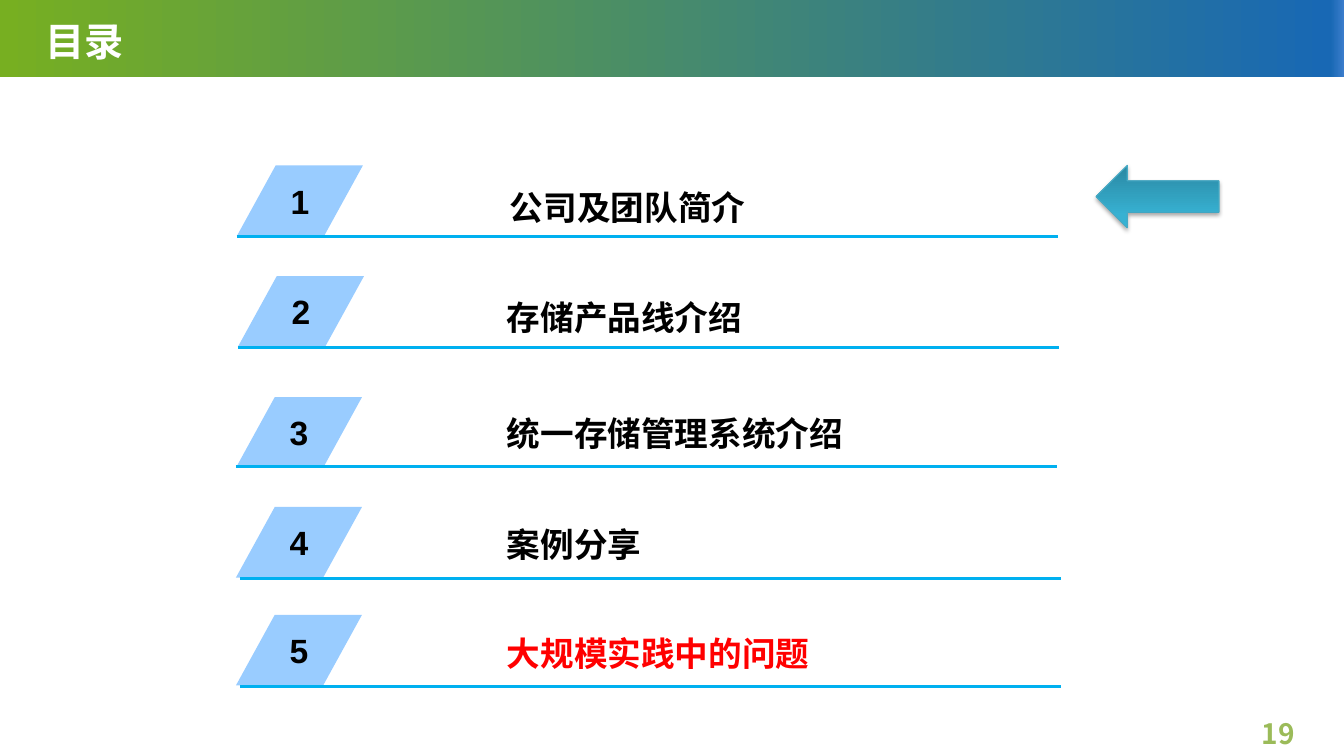
from dataclasses import dataclass

import lxml.etree
import pptx
import pptx.dml.color
import pptx.enum.shapes
import pptx.enum.text
import pptx.oxml.ns
import pptx.util

Inches = pptx.util.Inches
Pt = pptx.util.Pt
Shape = pptx.enum.shapes.MSO_SHAPE
Anchor = pptx.enum.text.MSO_ANCHOR
Align = pptx.enum.text.PP_ALIGN
qn = pptx.oxml.ns.qn


@dataclass(frozen=True)
class Theme:
    latin: str = "Arial"
    asian: str = "Noto Sans CJK SC"
    white: str = "FFFFFF"
    black: str = "000000"
    red: str = "FF0000"
    green: str = "9BBB59"
    tab: str = "99CCFF"
    rule: str = "00B0F0"
    edge: str = "46AAC5"
    band: tuple = ((0, "77AF21"), (99, "1868B4"), (100, "3A7CCB"))
    arrow: tuple = ((0, "2A88A2"), (80, "37B1D2"), (100, "34B4D6"))
    title: int = 28
    item: int = 24
    page: int = 20


THEME = Theme()

ITEMS = (
    ("公司及团队简介", THEME.black, (2.35, 1.64), (2.61, 0.16), (0, 0.71)),
    ("存储产品线介绍", THEME.black, (2.36, 2.74), (2.57, 0.16), (0, 0.71)),
    ("统一存储管理系统介绍", THEME.black, (2.34, 3.94), (2.59, 0.11), (0, 0.69)),
    ("案例分享", THEME.black, (2.34, 5.03), (2.59, 0.12), (0.04, 0.71)),
    ("大规模实践中的问题", THEME.red, (2.34, 6.1), (2.59, 0.13), (0.04, 0.71)),
)


def color(code):
    return pptx.dml.color.RGBColor.from_string(code)


def place(shape, box):
    names = ("left", "top", "width", "height")
    for name, size in zip(names, box):
        setattr(shape, name, Inches(size))


def write(shape, text, size, tint, align=Align.LEFT, anchor=Anchor.TOP,
          wrap=True, latin=THEME.latin):
    frame = shape.text_frame
    frame.text = text
    style = {
        "word_wrap": wrap,
        "auto_size": pptx.enum.text.MSO_AUTO_SIZE.NONE,
        "vertical_anchor": anchor,
    }
    for name, value in style.items():
        setattr(frame, name, value)
    line = frame.paragraphs[0]
    line.alignment = align
    run = line.runs[0]
    for name, value in {"size": Pt(size), "bold": True, "name": latin}.items():
        setattr(run.font, name, value)
    run.font.color.rgb = color(tint)
    asian = lxml.etree.Element(qn("a:ea"), typeface=THEME.asian)
    run.font._element.find(qn("a:latin")).addnext(asian)


def label(slide, box, text, size, tint, **style):
    shape = slide.shapes.add_textbox(*map(Inches, box))
    write(shape, text, size, tint, **style)


def block(slide, kind, box):
    shape = slide.shapes.add_shape(kind, *map(Inches, box))
    shape.shadow.inherit = False
    shape.line.fill.background()
    return shape


def blend(shape, stops, angle):
    shape.fill.gradient()
    grad = shape._element.spPr.find(qn("a:gradFill"))
    for child in list(grad):
        grad.remove(child)
    group = lxml.etree.SubElement(grad, qn("a:gsLst"))
    for share, code in stops:
        stop = lxml.etree.SubElement(group, qn("a:gs"), pos=str(share * 1000))
        lxml.etree.SubElement(stop, qn("a:srgbClr"), val=code)
    lxml.etree.SubElement(grad, qn("a:lin"), ang=str(angle * 60000), scaled="0")


def header(slide, box):
    left, top, width, height = box
    band = block(slide, Shape.RECTANGLE, box)
    blend(band, THEME.band, 0)
    title = slide.shapes.title
    band._element.addnext(title._element)
    place(title, (left + 0.35, top + 0.12, width - 1.52, height - 0.05))
    write(title, "目录", THEME.title, THEME.white)


def entry(slide, box, number, text, tint, shift, start):
    left, top, width, height = box
    tab = block(slide, Shape.PARALLELOGRAM, (left, top, 1.25, height))
    tab.adjustments[0] = 0.55
    tab.fill.solid()
    tab.fill.fore_color.rgb = color(THEME.tab)
    write(tab, str(number), THEME.item, THEME.black, align=Align.CENTER,
          anchor=Anchor.MIDDLE, wrap=False)

    x, y = left + start[0], top + start[1]
    rule = slide.shapes.add_connector(
        pptx.enum.shapes.MSO_CONNECTOR.STRAIGHT,
        *map(Inches, (x, y, x + width, y)))
    rule.line.color.rgb = color(THEME.rule)
    rule.line.width = Pt(2.25)
    lxml.etree.SubElement(rule._element.spPr, qn("a:effectLst"))

    spot = (left + shift[0], top + shift[1], 6.6, 0.51)
    label(slide, spot, text, THEME.item, tint)


def pointer(slide, box):
    arrow = block(slide, Shape.RIGHT_ARROW, box)
    arrow.rotation = 180
    blend(arrow, THEME.arrow, 270)
    arrow.line.color.rgb = color(THEME.edge)
    arrow.line.width = Pt(0.75)
    effect = arrow._element.spPr.find(qn("a:effectLst"))
    shade = lxml.etree.SubElement(
        effect, qn("a:outerShdw"), blurRad=str(Pt(3.1)), dist=str(Pt(1.8)),
        dir="5400000", rotWithShape="0")
    tint = lxml.etree.SubElement(shade, qn("a:srgbClr"), val=THEME.black)
    lxml.etree.SubElement(tint, qn("a:alpha"), val="35000")


def agenda(slide, box):
    left, top, width, height = box
    header(slide, (left, top, width, 0.76))
    for number, (text, tint, spot, shift, start) in enumerate(ITEMS, 1):
        row = (left + spot[0], top + spot[1], 8.14, 0.7)
        entry(slide, row, number, text, tint, shift, start)
    pointer(slide, (left + 10.87, top + 1.64, 1.22, 0.62))
    page = (left + width - 1.07, top + height - 0.44, 0.68, 0.44)
    label(slide, page, "19", THEME.page, THEME.green, align=Align.RIGHT,
          latin=THEME.asian)


def main():
    deck = pptx.Presentation()
    deck.slide_width = Inches(13.33)
    deck.slide_height = Inches(7.5)
    slide = deck.slides.add_slide(deck.slide_layouts[5])
    agenda(slide, (0, 0, 13.33, 7.5))
    deck.save("out.pptx")


if __name__ == "__main__":
    main()
